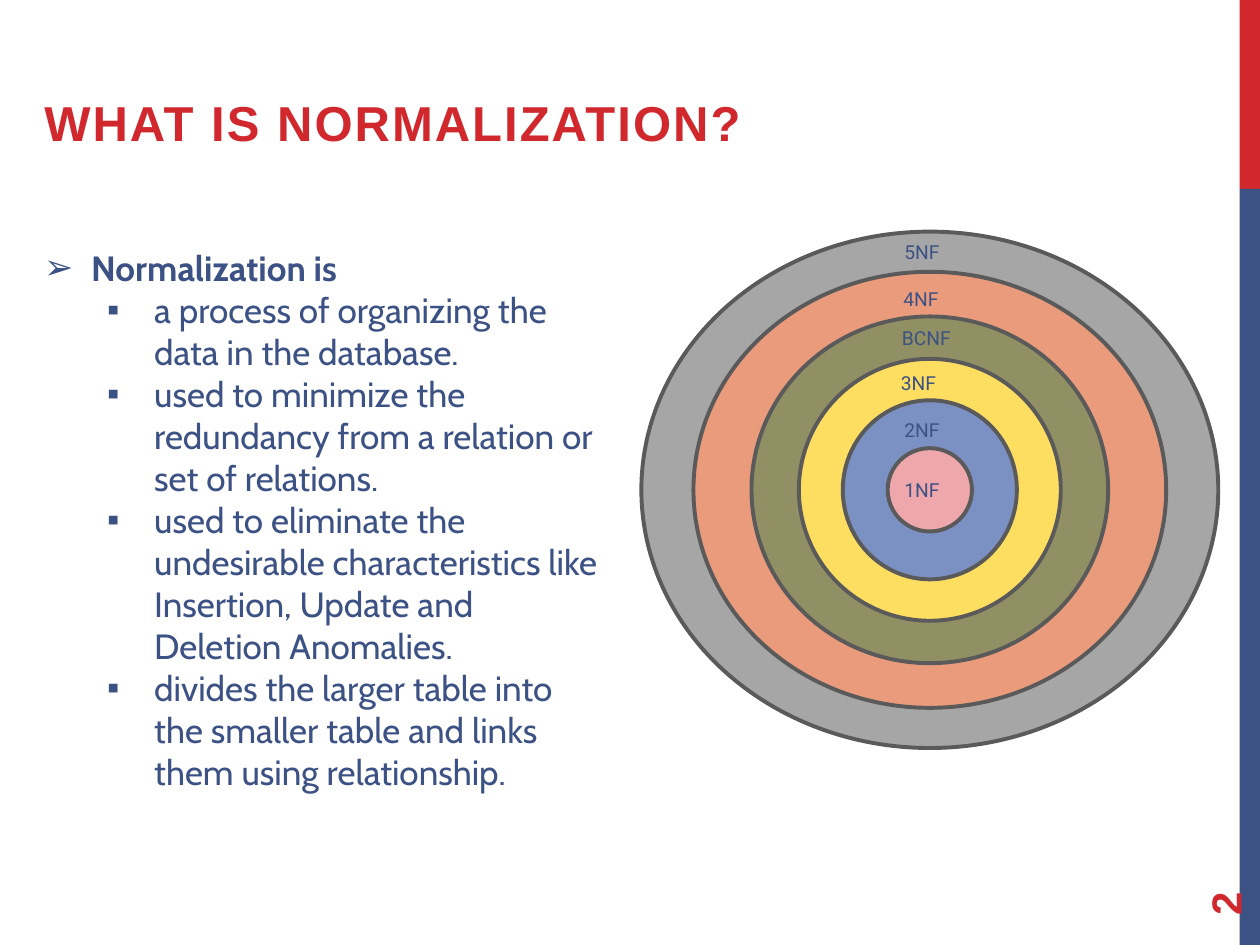
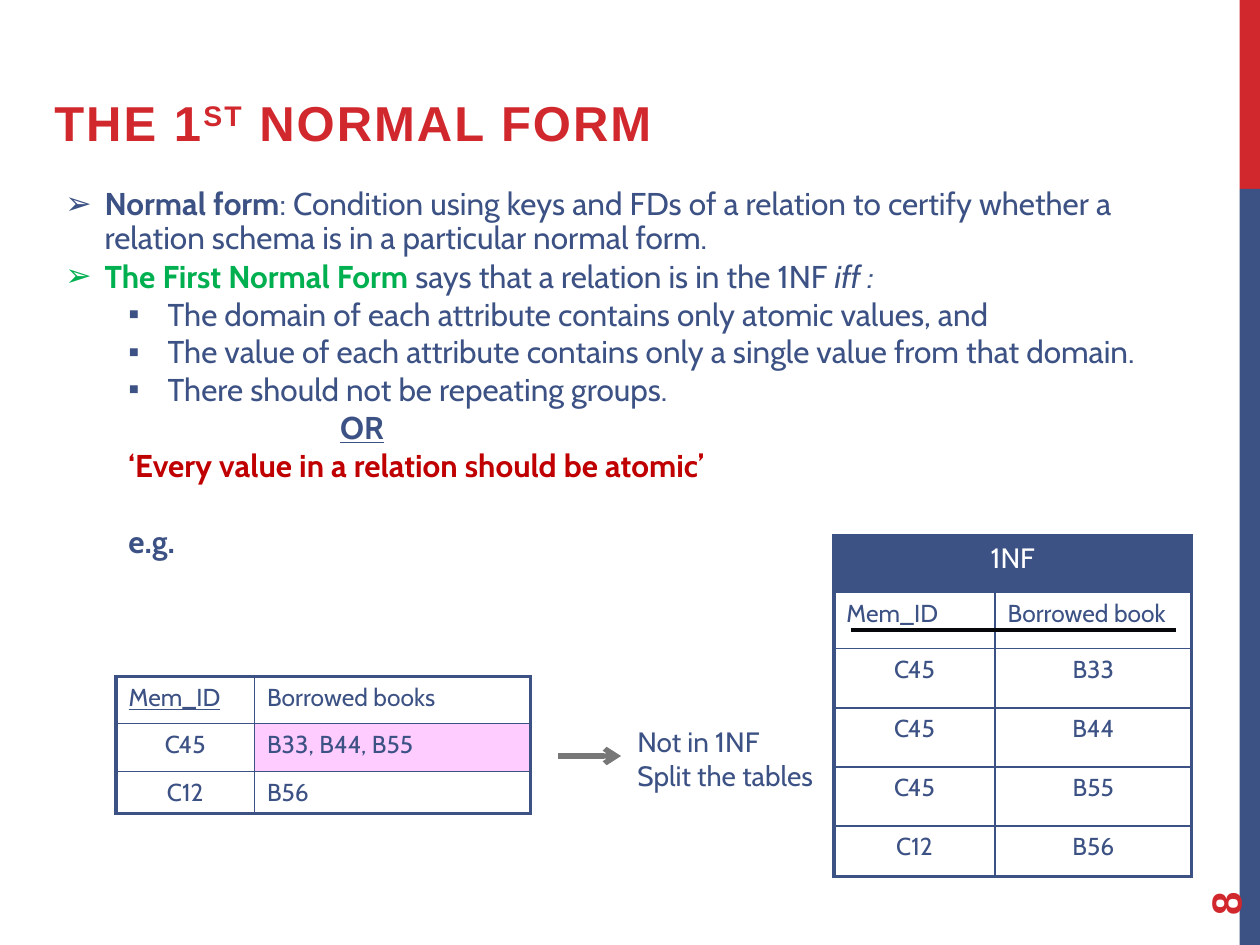
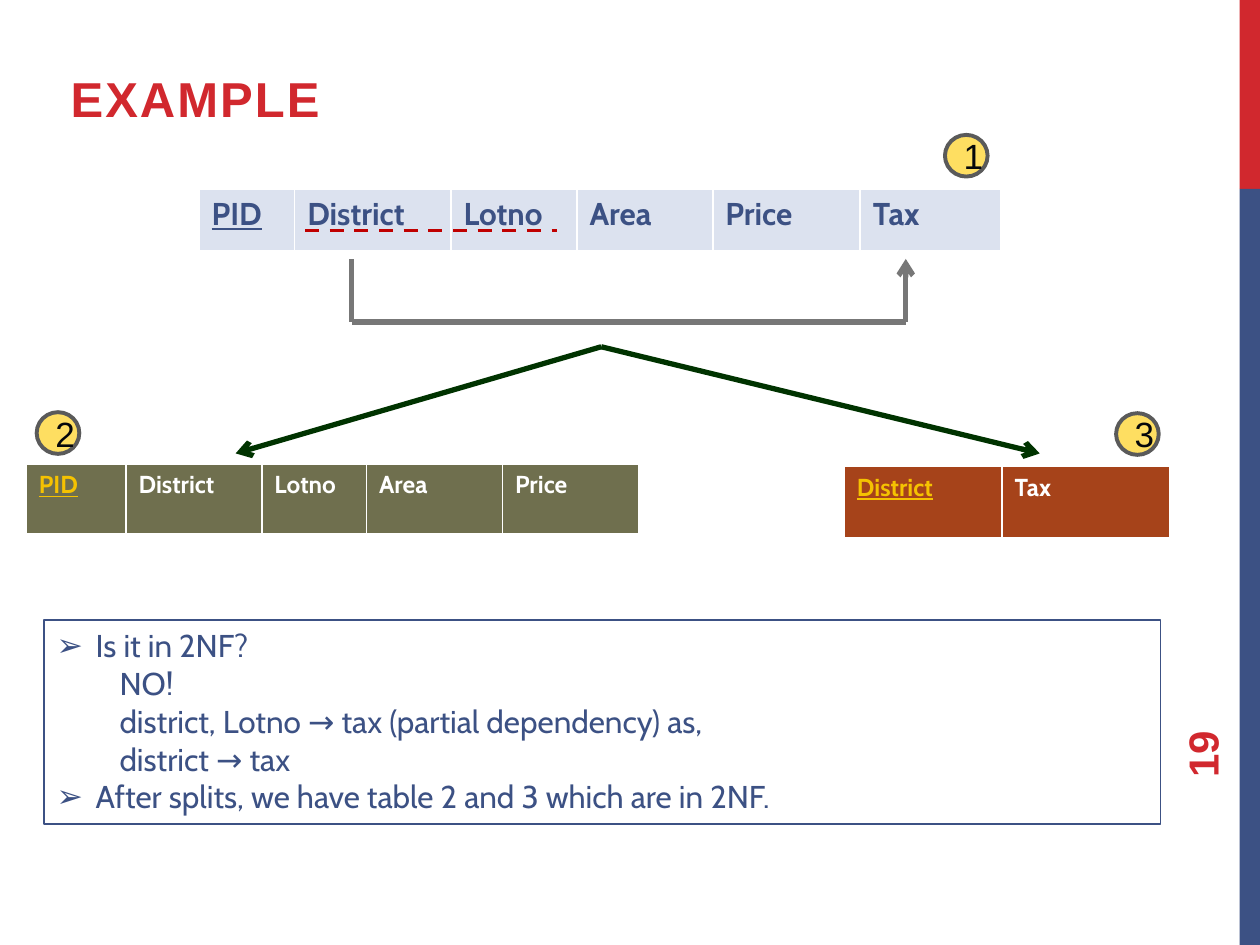
from lxml.etree import SubElement
from pptx import Presentation
from pptx.dml.color import RGBColor
from pptx.enum.dml import MSO_LINE
from pptx.enum.shapes import MSO_CONNECTOR, MSO_SHAPE
from pptx.enum.text import MSO_ANCHOR, MSO_AUTO_SIZE, PP_ALIGN
from pptx.oxml.ns import qn
from pptx.util import Cm, Pt

RED, NAVY, WHITE, BLACK = "D1282E", "3C5184", "FFFFFF", "05070B"
GRAY, OUTLINE, YELLOW, GOLD = "777777", "5A5A5A", "FEDE61", "F5C201"
GREEN, DARK_GREEN, DARK_RED, PINK = "00B050", "003300", "C00000", "FFCCFF"
PALE, OLIVE, RUST = "DCE2EF", "6F6F4E", "A6431A"
ARROW, SQUARE = "➢", "▪"


def rgb(code):
    return RGBColor.from_string(code)


def cms(*lengths):
    return [Cm(length) for length in lengths]


def add_run(p, text, font="Cabin", size=18, color=NAVY, bold=False,
            italic=False, underline=False, spacing=0, raised=0):
    r = p.add_run()
    r.text = text
    f = r.font
    f.name, f.size, f.bold, f.italic = font, Pt(size), bold, italic
    f.underline = underline
    f.color.rgb = rgb(color)
    rPr = r._r.get_or_add_rPr()
    if spacing:
        rPr.set("spc", str(round(spacing * 100)))
    if raised:
        rPr.set("baseline", str(raised * 1000))


def add_par(tf, *runs, left=0, hang=0, bullet=None, align=PP_ALIGN.LEFT,
            before=0, after=0, line=1.0, **fmt):
    p = tf.paragraphs[0]
    if p.runs:
        p = tf.add_paragraph()
    p.alignment, p.line_spacing = align, line
    p.space_before, p.space_after = Pt(before), Pt(after)
    pPr = p._p.get_or_add_pPr()
    pPr.set("marL", str(Cm(left)))
    pPr.set("indent", str(-Cm(hang)))
    if bullet:
        SubElement(pPr, qn("a:buFont")).set("typeface", "Arial")
        SubElement(pPr, qn("a:buChar")).set("char", bullet)
    for run in runs:
        text, own = (run, {}) if isinstance(run, str) else run
        add_run(p, text, **{**fmt, **own})


def add_text_box(s, box, wrap=True, grow=True):
    sp = s.shapes.add_textbox(*cms(*box))
    tf = sp.text_frame
    tf.word_wrap = wrap
    tf.auto_size = MSO_AUTO_SIZE.SHAPE_TO_FIT_TEXT if grow else MSO_AUTO_SIZE.NONE
    return sp


def add_box(s, kind, box, fill=None, line=None, width=2.25):
    sp = s.shapes.add_shape(kind, *cms(*box))
    sp.shadow.inherit = False
    if fill:
        sp.fill.solid()
        sp.fill.fore_color.rgb = rgb(fill)
    else:
        sp.fill.background()
    if line:
        sp.line.color.rgb = rgb(line)
        sp.line.width = Pt(width)
    else:
        sp.line.fill.background()
    return sp


def add_line(s, x1, y1, x2, y2, color, width=3, arrow=False, dash=None):
    c = s.shapes.add_connector(MSO_CONNECTOR.STRAIGHT, *cms(x1, y1, x2, y2))
    c.line.color.rgb = rgb(color)
    c.line.width = Pt(width)
    if dash:
        c.line.dash_style = dash
    if arrow:
        SubElement(c.line._get_or_add_ln(), qn("a:tailEnd")).set("type", "arrow")
    SubElement(c._element.spPr, qn("a:effectLst"))


def set_border(cell, side, color, width):
    ln = SubElement(cell._tc.get_or_add_tcPr(), qn("a:ln" + side))
    ln.set("w", str(Pt(width)))
    SubElement(SubElement(ln, qn("a:solidFill")), qn("a:srgbClr")).set("val", color)


def add_grid(s, left, top, cols, rows, cells, line, outer=1, inner=1,
             bottom=None, merges=(), **fmt):
    frame = s.shapes.add_table(len(rows), len(cols),
                               *cms(left, top, sum(cols), sum(rows)))
    table = frame.table
    table.first_row = table.horz_banding = False
    for column, width in zip(table.columns, cols):
        column.width = Cm(width)
    for row, height in zip(table.rows, rows):
        row.height = Cm(height)
    for first, last in merges:
        table.cell(*first).merge(table.cell(*last))
    for i, row in enumerate(cells):
        for j, item in enumerate(row):
            cell = table.cell(i, j)
            text, own = (item, {}) if isinstance(item, str) else item
            style = {**fmt, **own}
            fill = style.pop("fill", None)
            edges = {"L": j == 0, "R": j + cell.span_width == len(cols),
                     "T": i == 0, "B": i == len(rows) - 1}
            for side, at_edge in edges.items():
                width = outer if at_edge else inner
                if side == "B" and at_edge and bottom:
                    width = bottom
                set_border(cell, side, line, width)
            if fill:
                cell.fill.solid()
                cell.fill.fore_color.rgb = rgb(fill)
            else:
                cell.fill.background()
            if text:
                add_par(cell.text_frame, text, **style)


def add_frame(prs, title, title_box, number, number_at):
    s = prs.slides.add_slide(prs.slide_layouts[5])
    for top, height, color in ((0, 3.81, RED), (3.81, 15.24, NAVY)):
        add_box(s, MSO_SHAPE.RECTANGLE, (24.99, top, 0.41, height), color)
    sp = s.shapes.title
    sp.left, sp.top, sp.width, sp.height = cms(*title_box)
    tf = sp.text_frame
    tf.word_wrap, tf.auto_size = True, MSO_AUTO_SIZE.NONE
    tf.vertical_anchor = MSO_ANCHOR.BOTTOM
    add_par(tf, *title, font="Arial", size=28, color=RED, bold=True,
            spacing=1.2, after=6)
    sp = add_text_box(s, (*number_at, 3.66, 1.02), grow=False)
    sp.rotation = 270
    sp.text_frame.vertical_anchor = MSO_ANCHOR.MIDDLE
    add_par(sp.text_frame, number, font="Arial", size=24, color=RED, bold=True)
    return s


def add_rings(s, box):
    left, top, width, height = box
    rings = (
        ("5NF", "A6A6A6", 11.63, 10.41, 5.05, 0.05, 1.5),
        ("4NF", "EA9B7C", 9.53, 8.79, 5.03, 0.99, 1.52),
        ("BCNF", "919064", 7.19, 6.99, 5.0, 1.78, 1.78),
        ("3NF", YELLOW, 5.28, 5.28, 4.98, 2.69, 1.5),
        ("2NF", "7C91C3", 3.51, 3.61, 5.05, 3.63, 1.47),
        ("1NF", "EEA7AA", 1.7, 1.68, 5.05, 4.85, 1.37),
    )
    g = s.shapes.add_group_shape()
    for _, fill, w, h, *_ in rings:
        add_box(g, MSO_SHAPE.FLOWCHART_CONNECTOR,
                (left + (width - w) / 2, top + (height - h) / 2, w, h), fill, OUTLINE)
    for name, _, _, _, x, y, w in rings:
        label = add_text_box(g, (left + x, top + y, w, 0.74), wrap=False)
        add_par(label.text_frame, name, font="Roboto", size=11)


def add_bracket(s, box):
    left, top, width, height = box
    right, base = left + width, top + height
    g = s.shapes.add_group_shape()
    add_line(g, left, base, right, base, GRAY)
    add_line(g, right, base, right, top, GRAY, arrow=True)
    add_line(g, left, base, left, top, GRAY)


def add_split(s, box):
    left, top, width, height = box
    peak = left + 7.37
    for x in (left, left + width):
        add_line(s, peak, top, x, top + height, DARK_GREEN, arrow=True)


def add_badge(s, number, left, top):
    sp = add_box(s, MSO_SHAPE.OVAL, (left, top, 0.86, 0.84), YELLOW, OUTLINE)
    sp.text_frame.vertical_anchor = MSO_ANCHOR.MIDDLE
    add_par(sp.text_frame, number, font="Arial", size=20, color=BLACK,
            align=PP_ALIGN.CENTER)


def add_header_grid(s, left, top, cols, height, names, fill, key, **fmt):
    cells = [(names[0], {"underline": True, "color": key}), *names[1:]]
    add_grid(s, left, top, cols, [height], [cells], WHITE, bottom=3,
             fill=fill, bold=True, **fmt)


def normalization_slide(prs):
    s = add_frame(prs, ["WHAT IS NORMALIZATION?"], (0.64, 1.47, 21.59, 1.7),
                  "2", (22.86, 16.36))
    tf = add_text_box(s, (0.64, 4.85, 11.86, 11.38)).text_frame
    add_par(tf, "Normalization is", left=0.95, hang=0.95, bullet=ARROW,
            size=20, bold=True)
    for text in (
        "a process of organizing the data in the database.",
        "used to minimize the redundancy from a relation or set of relations.",
        "used to eliminate the undesirable characteristics like Insertion, "
        "Update and Deletion Anomalies.",
        "divides the larger table into the smaller table and links them using "
        "relationship.",
    ):
        add_par(tf, text, left=2.22, hang=0.95, bullet=SQUARE, size=20)
    add_rings(s, (12.93, 4.67, 11.63, 10.41))


def first_form_text(s, box):
    tf = add_text_box(s, box).text_frame
    main = {"left": 0.79, "hang": 0.79, "bullet": ARROW}
    add_par(tf, ("Normal form", {"bold": True}),
            ": Condition using keys and FDs of a relation to certify whether a "
            "relation schema is in a particular normal form.", line=0.9, **main)
    add_par(tf, ("The First Normal Form ", {"color": GREEN, "bold": True}),
            "says that a relation is in the 1NF ", ("iff :", {"italic": True}), **main)
    for text in (
        "The domain of each attribute contains only atomic values, and",
        "The value of each attribute contains only a single value from that domain.",
        "There should not be repeating groups.",
    ):
        add_par(tf, text, left=2.06, hang=0.79, bullet=SQUARE)
    add_par(tf, "OR", left=5.54, bold=True, underline=True)
    add_par(tf, "‘Every value in a relation should be atomic’", left=1.27,
            bold=True, color=DARK_RED)
    add_par(tf, "e.g.", left=1.27, bold=True, before=21.8)


def first_form_slide(prs):
    s = add_frame(prs, ["THE 1", ("ST", {"raised": 30}), " NORMAL FORM"],
                  (0.84, 1.47, 21.39, 1.7), "8", (22.86, 16.36))
    first_form_text(s, (1.07, 3.68, 23.06, 10.8))
    center = {"align": PP_ALIGN.CENTER}
    framed = {"line": NAVY, "outer": 2.25, "size": 14}
    add_grid(s, 2.34, 13.64, [2.79, 5.56], [0.94, 0.97, 0.84], [
        [("Mem_ID", {"underline": True}), "Borrowed books"],
        [("C45", center), ("B33, B44, B55", {"fill": PINK})],
        [("C12", center), "B56"],
    ], **framed)
    add_line(s, 11.25, 15.24, 12.52, 15.24, GRAY, arrow=True)
    tf = add_text_box(s, (12.6, 14.48, 4.24, 1.63), wrap=False).text_frame
    for text in ("Not in 1NF", "Split the tables"):
        add_par(tf, text, size=16)
    pairs = [("C45", "B33"), ("C45", "B44"), ("C45", "B55"), ("C12", "B56")]
    header = {"size": 16, "color": WHITE, "fill": NAVY, **center}
    add_grid(s, 16.81, 10.8, [3.25, 3.96], [1.14, 1.14, 1.19, 1.19, 1.19, 1.02], [
        [("1NF", header), ("", header)],
        ["Mem_ID", "Borrowed book"],
        *[[(value, center) for value in pair] for pair in pairs],
    ], merges=[((0, 0), (0, 1))], **framed)
    add_line(s, 17.15, 12.7, 23.7, 12.7, BLACK, width=2)


def example_slide(prs):
    s = add_frame(prs, ["EXAMPLE"], (1.17, 0.99, 5.87, 1.7), "19", (22.4, 13.59))
    names = ["PID", "District", "Lotno", "Area", "Price", "Tax"]
    add_header_grid(s, 4.01, 3.81, [1.93, 3.15, 2.54, 2.74, 2.97, 2.84], 1.27,
                    names, PALE, NAVY)
    sp = add_box(s, MSO_SHAPE.RECTANGLE, (0.89, 12.5, 22.5, 4.11), line=NAVY, width=0.75)
    tf = sp.text_frame
    tf.word_wrap, tf.auto_size = True, MSO_AUTO_SIZE.SHAPE_TO_FIT_TEXT
    tf.vertical_anchor = MSO_ANCHOR.TOP
    main = {"left": 0.79, "hang": 0.79, "bullet": ARROW}
    add_par(tf, "Is it in 2NF?", **main)
    for text in ("NO!", "district, Lotno → tax (partial dependency) as,",
                 "district → tax"):
        add_par(tf, text, left=1.27)
    add_par(tf, "After splits, we have table 2 and 3 which are in 2NF.", **main)
    add_line(s, 6.15, 4.65, 11.23, 4.65, DARK_RED, width=2, dash=MSO_LINE.DASH)
    add_bracket(s, (7.09, 5.22, 11.17, 1.27))
    add_split(s, (4.75, 6.99, 16.21, 2.15))
    small = {"size": 14, "color": WHITE}
    add_header_grid(s, 17.02, 9.4, [3.18, 3.38], 1.47, ["District", "Tax"],
                    RUST, GOLD, **small)
    add_header_grid(s, 0.53, 9.35, [2.01, 2.74, 2.11, 2.74, 2.74], 1.45, names[:5],
                    OLIVE, GOLD, **small)
    for number, left, top in (("1", 19.05, 2.72), ("3", 22.5, 8.33), ("2", 0.74, 8.31)):
        add_badge(s, number, left, top)


def main():
    prs = Presentation()
    prs.slide_width, prs.slide_height = cms(25.4, 19.05)
    normalization_slide(prs)
    first_form_slide(prs)
    example_slide(prs)
    prs.save("out.pptx")


if __name__ == "__main__":
    main()
